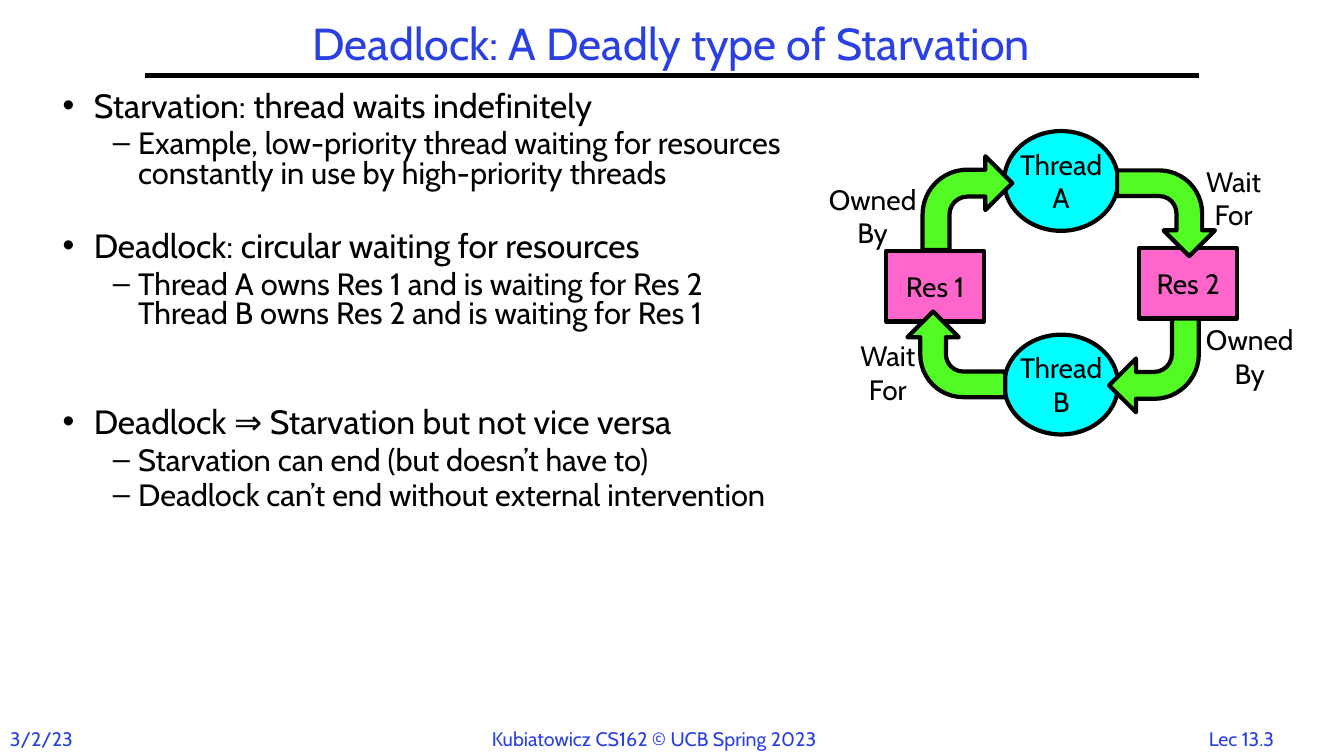
from lxml import etree
from pptx import Presentation
from pptx import util as u
from pptx.dml.color import RGBColor
from pptx.enum import shapes, text
from pptx.oxml import ns

COLORS = {
    "blue": "2A40E2",
    "black": "000000",
    "pink": "FF66CC",
    "cyan": "00FFFF",
    "green": "53FB25",
}

OUTLINE = [
    (0, "Starvation: thread waits indefinitely", 0),
    (1, "Example, low-priority thread waiting for resources constantly in use by high-priority threads", 4.4),
    (0, "Deadlock: circular waiting for resources", 30.6),
    (1, "Thread A owns Res 1 and is waiting for Res 2\nThread B owns Res 2 and is waiting for Res 1", 4.4),
    (0, "Deadlock ⇒ Starvation but not vice versa", 56),
    (1, "Starvation can end (but doesn’t have to)", 4.4),
    (1, "Deadlock can’t end without external intervention", 4.4),
]

LEVELS = [
    {"bullet": "•", "margin": 0.31, "indent": -0.31, "size": 24},
    {"bullet": "–", "margin": 0.75, "indent": -0.25, "size": 22},
]


class SlideBuilder:
    font = "Cabin"
    line_width = 3

    def __init__(self, slide):
        self.slide = slide

    def color(self, name):
        return RGBColor.from_string(COLORS[name])

    def place(self, shape, box):
        shape.left, shape.top, shape.width, shape.height = map(u.Inches, box)

    def run(self, paragraph, content, size, color):
        run = paragraph.add_run()
        run.text = content
        run.font.name = self.font
        run.font.size = u.Pt(size)
        run.font.color.rgb = self.color(color)

    def write_lines(self, frame, lines, size, color, alignment=text.PP_ALIGN.CENTER):
        frame.word_wrap = False
        for index, content in enumerate(lines):
            paragraph = frame.add_paragraph() if index else frame.paragraphs[0]
            paragraph.alignment = alignment
            self.run(paragraph, content, size, color)

    def title(self, content, box):
        shape = self.slide.shapes.title
        self.place(shape, box)
        frame = shape.text_frame
        frame.auto_size = text.MSO_AUTO_SIZE.NONE
        frame.vertical_anchor = text.MSO_ANCHOR.MIDDLE
        paragraph = frame.paragraphs[0]
        paragraph.alignment = text.PP_ALIGN.CENTER
        paragraph.line_spacing = 0.9
        self.run(paragraph, content, 32, "blue")

    def body(self, outline, box):
        shape = self.slide.placeholders[1]
        self.place(shape, box)
        frame = shape.text_frame
        frame.auto_size = text.MSO_AUTO_SIZE.NONE
        for index, (level, content, space) in enumerate(outline):
            paragraph = frame.add_paragraph() if index else frame.paragraphs[0]
            self.bullet(paragraph, level)
            paragraph.line_spacing = 0.8
            paragraph.space_before = u.Pt(space)
            for number, line in enumerate(content.split("\n")):
                if number:
                    paragraph.add_line_break()
                self.run(paragraph, line, LEVELS[level]["size"], "black")

    def bullet(self, paragraph, level):
        style = LEVELS[level]
        paragraph.level = level
        properties = paragraph._p.get_or_add_pPr()
        properties.set("marL", str(u.Inches(style["margin"])))
        properties.set("indent", str(u.Inches(style["indent"])))
        etree.SubElement(properties, ns.qn("a:buChar")).set("char", style["bullet"])

    def label(self, lines, box):
        shape = self.slide.shapes.add_textbox(*map(u.Inches, box))
        self.write_lines(shape.text_frame, lines, 20, "black")
        shape.text_frame.auto_size = text.MSO_AUTO_SIZE.SHAPE_TO_FIT_TEXT

    def footer(self, content, box):
        shape = self.slide.shapes.add_textbox(*map(u.Inches, box))
        self.write_lines(shape.text_frame, [content], 14, "blue", text.PP_ALIGN.LEFT)
        shape.text_frame.word_wrap = True

    def rule(self, start, end):
        connector = self.slide.shapes.add_connector(
            shapes.MSO_CONNECTOR.STRAIGHT, *map(u.Inches, start + end))
        connector.line.color.rgb = self.color("black")
        connector.line.width = u.Pt(self.line_width)
        etree.SubElement(connector._element.spPr, ns.qn("a:effectLst"))

    def node(self, kind, fill, box, lines=()):
        shape = self.slide.shapes.add_shape(kind, *map(u.Inches, box))
        shape.shadow.inherit = False
        shape.fill.solid()
        shape.fill.fore_color.rgb = self.color(fill)
        shape.line.color.rgb = self.color("black")
        shape.line.width = u.Pt(self.line_width)
        shape.text_frame.vertical_anchor = text.MSO_ANCHOR.MIDDLE
        self.write_lines(shape.text_frame, lines, 20, "black")
        return shape

    def arrow(self, box, rotation):
        shape = self.node(shapes.MSO_SHAPE.BENT_ARROW, "green", box)
        shape.rotation = rotation
        for index, value in enumerate((0.3, 0.3, 0.3, 0.5)):
            shape.adjustments[index] = value


def main():
    presentation = Presentation()
    presentation.slide_width = u.Inches(13.33)
    presentation.slide_height = u.Inches(7.5)
    slide = presentation.slides.add_slide(presentation.slide_layouts[1])
    builder = SlideBuilder(slide)

    builder.title("Deadlock: A Deadly type of Starvation", (1.44, 0.17, 10.44, 0.58))
    builder.rule((1.44, 0.75), (11.89, 0.75))
    builder.body(OUTLINE, (0.52, 0.87, 7.91, 5.14))

    for content, left, width in (
        ("3/2/23", 0, 1),
        ("Kubiatowicz CS162 © UCB Spring 2023", 4.78, 3.68),
        ("Lec 13.3", 11.89, 1.08),
    ):
        builder.footer(content, (left, 7.16, width, 0.34))

    for name, left, top in (("Res 2", 11.3, 2.46), ("Res 1", 8.79, 2.49)):
        builder.node(shapes.MSO_SHAPE.RECTANGLE, "pink", (left, top, 0.97, 0.7), [name])
    for name, top in (("B", 3.32), ("A", 1.3)):
        builder.node(shapes.MSO_SHAPE.OVAL, "cyan", (9.96, top, 1.13, 0.99), ["Thread", name])

    for quarter, box in enumerate((
        (9.15, 1.55, 0.89, 0.93),
        (11.14, 1.63, 0.85, 0.97),
        (11, 3.16, 0.89, 0.93),
        (9.06, 3.03, 0.85, 0.97),
    )):
        builder.arrow(box, 90 * quarter)

    for lines, left, top, width in (
        (("Wait", "For"), 11.86, 1.58, 0.75),
        (("Wait", "For"), 8.43, 3.31, 0.75),
        (("Owned", "By"), 11.85, 3.15, 1.09),
        (("Owned", "By"), 8.11, 1.76, 1.09),
    ):
        builder.label(lines, (left, top, width, 0.77))

    presentation.save("out.pptx")


if __name__ == "__main__":
    main()
